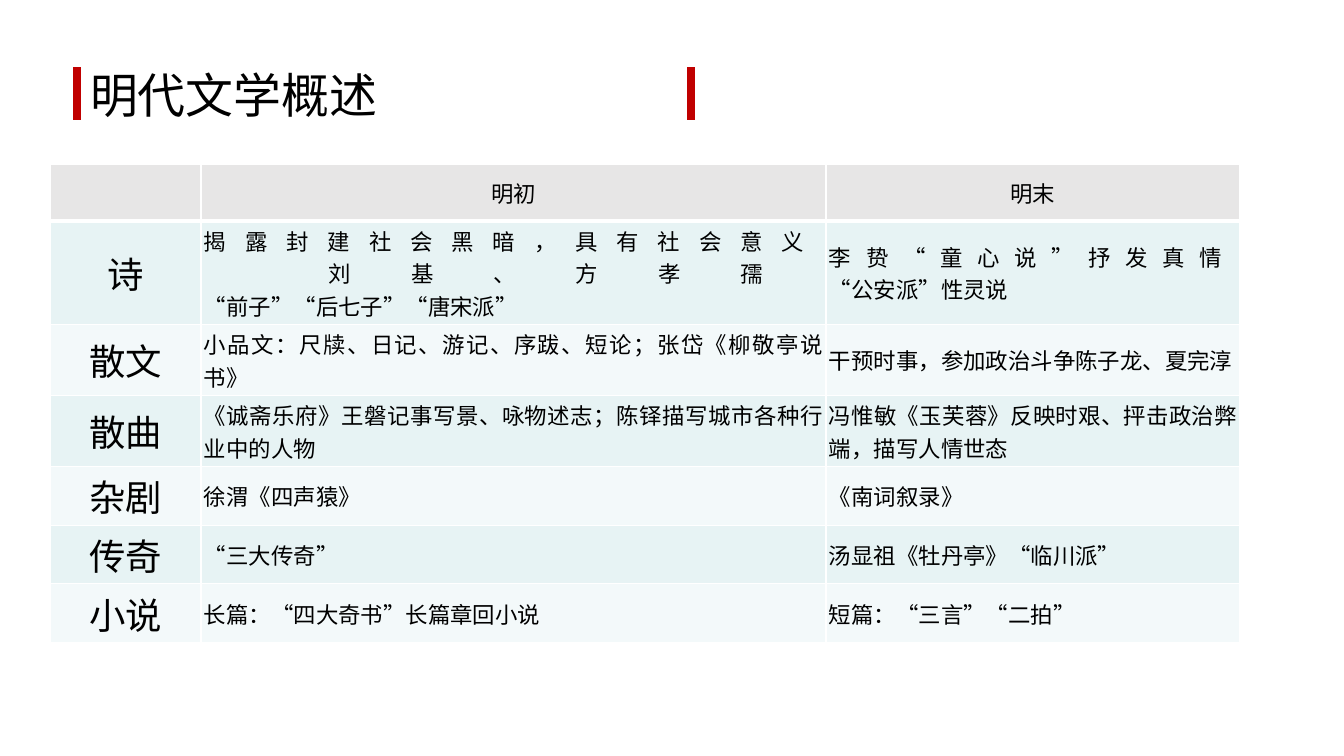
from dataclasses import dataclass

from lxml import etree
from pptx import Presentation
from pptx.dml.color import RGBColor
from pptx.enum.shapes import MSO_SHAPE
from pptx.enum.text import MSO_ANCHOR, MSO_AUTO_SIZE, PP_ALIGN
from pptx.oxml.ns import qn
from pptx.util import Emu, Pt

RECTANGLE = MSO_SHAPE.RECTANGLE
MIDDLE, BOTTOM = MSO_ANCHOR.MIDDLE, MSO_ANCHOR.BOTTOM
LEFT, CENTER, JUSTIFY = PP_ALIGN.LEFT, PP_ALIGN.CENTER, PP_ALIGN.JUSTIFY
NO_AUTOFIT = MSO_AUTO_SIZE.NONE

PX_PER_INCH = 50.4
SLIDE_WIDTH, SLIDE_HEIGHT = 1344, 756


def px(value):
    return Emu(round(value * 914400 / PX_PER_INCH))


@dataclass(frozen=True)
class Theme:
    font: str = "Noto Sans CJK SC"
    text: str = "000000"
    accent: str = "C00000"
    border: str = "FFFFFF"
    header_fill: str = "E7E6E6"
    band_fills: tuple = ("E7F3F4", "F3F9FA")
    title_size: float = 68.4
    genre_size: float = 52
    body_size: float = 32
    border_width: float = 2
    header_rule_width: float = 6


class SlideBuilder:
    def __init__(self, slide, theme):
        self.slide = slide
        self.theme = theme

    def add_text(self, paragraph, text, size, alignment):
        """Fill a paragraph, one run for each line of text."""
        paragraph.alignment = alignment
        for index, line in enumerate(text.split("\n")):
            if index:
                paragraph.add_line_break()
            run = paragraph.add_run()
            run.text = line
            font = run.font
            font.name = self.theme.font
            font.size = Pt(size)
            font.bold = False
            font.color.rgb = RGBColor.from_string(self.theme.text)
            east_asian = etree.Element(qn("a:ea"), typeface=self.theme.font)
            run._r.rPr.find(qn("a:latin")).addnext(east_asian)

    def title(self, text, left, top, width, height):
        shape = self.slide.shapes.title
        shape.left, shape.top = px(left), px(top)
        shape.width, shape.height = px(width), px(height)
        frame = shape.text_frame
        frame.auto_size = NO_AUTOFIT
        frame.vertical_anchor = BOTTOM
        frame.margin_left = frame.margin_right = px(5)
        frame.margin_top = frame.margin_bottom = px(5)
        paragraph = frame.paragraphs[0]
        paragraph.line_spacing = 0.9
        self.add_text(paragraph, text, self.theme.title_size, LEFT)

    def bar(self, left, top, width, height):
        shape = self.slide.shapes.add_shape(
            RECTANGLE, px(left), px(top), px(width), px(height))
        shape.shadow.inherit = False
        shape.fill.solid()
        shape.fill.fore_color.rgb = RGBColor.from_string(self.theme.accent)
        shape.line.fill.background()

    def set_borders(self, cell, row_index):
        """Draw white cell edges, with a thicker rule under the header."""
        theme = self.theme
        thin, thick = theme.border_width, theme.header_rule_width
        widths = {
            "a:lnL": thin,
            "a:lnR": thin,
            "a:lnT": thick if row_index == 1 else thin,
            "a:lnB": thick if row_index == 0 else thin,
        }
        properties = cell._tc.get_or_add_tcPr()
        for position, (tag, width) in enumerate(widths.items()):
            line = etree.Element(qn(tag), w=str(Pt(width)))
            fill = etree.SubElement(line, qn("a:solidFill"))
            etree.SubElement(fill, qn("a:srgbClr"), val=theme.border)
            properties.insert(position, line)

    def cell(self, cell, text, row_index, column_index):
        theme = self.theme
        is_header, is_genre = row_index == 0, column_index == 0
        cell.vertical_anchor = MIDDLE
        cell.margin_left = cell.margin_right = px(3)
        cell.margin_top = cell.margin_bottom = px(3)
        color = theme.header_fill if is_header else theme.band_fills[(row_index - 1) % 2]
        cell.fill.solid()
        cell.fill.fore_color.rgb = RGBColor.from_string(color)
        self.set_borders(cell, row_index)
        if text:
            size = theme.genre_size if is_genre else theme.body_size
            alignment = CENTER if is_header or is_genre else JUSTIFY
            self.add_text(cell.text_frame.paragraphs[0], text, size, alignment)

    def table(self, rows, left, top, column_widths, row_heights):
        table = self.slide.shapes.add_table(
            len(rows), len(column_widths), px(left), px(top),
            px(sum(column_widths)), px(sum(row_heights))).table
        for column, width in zip(table.columns, column_widths):
            column.width = px(width)
        for row, height in zip(table.rows, row_heights):
            row.height = px(height)
        for row_index, texts in enumerate(rows):
            for column_index, text in enumerate(texts):
                self.cell(table.cell(row_index, column_index), text,
                          row_index, column_index)


LITERATURE = [
    ("", "明初", "明末"),
    ("诗", "揭露封建社会黑暗，具有社会意义\n 刘基、方孝孺\n“前子”“后七子”“唐宋派”",
     "李贽“童心说”抒发真情\n“公安派”性灵说"),
    ("散文", "小品文：尺牍、日记、游记、序跋、短论；张岱《柳敬亭说书》",
     "干预时事，参加政治斗争陈子龙、夏完淳"),
    ("散曲", "《诚斋乐府》王磐记事写景、咏物述志；陈铎描写城市各种行业中的人物",
     "冯惟敏《玉芙蓉》反映时艰、抨击政治弊端，描写人情世态"),
    ("杂剧", "徐渭《四声猿》", "《南词叙录》"),
    ("传奇", "“三大传奇”", "汤显祖《牡丹亭》“临川派”"),
    ("小说", "长篇：“四大奇书”长篇章回小说", "短篇：“三言”“二拍”"),
]


def main():
    presentation = Presentation()
    presentation.slide_width = px(SLIDE_WIDTH)
    presentation.slide_height = px(SLIDE_HEIGHT)
    title_only = presentation.slide_layouts[5]
    builder = SlideBuilder(presentation.slides.add_slide(title_only), Theme())

    for left in (73, 687):
        builder.bar(left, 67, 8, 53)
    builder.title("明代文学概述", 85, 67, 645, 62)
    builder.table(LITERATURE, left=50, top=164,
                  column_widths=(151, 625, 414),
                  row_heights=(57, 102, 70, 70, 58, 58, 58))
    presentation.save("out.pptx")


if __name__ == "__main__":
    main()
